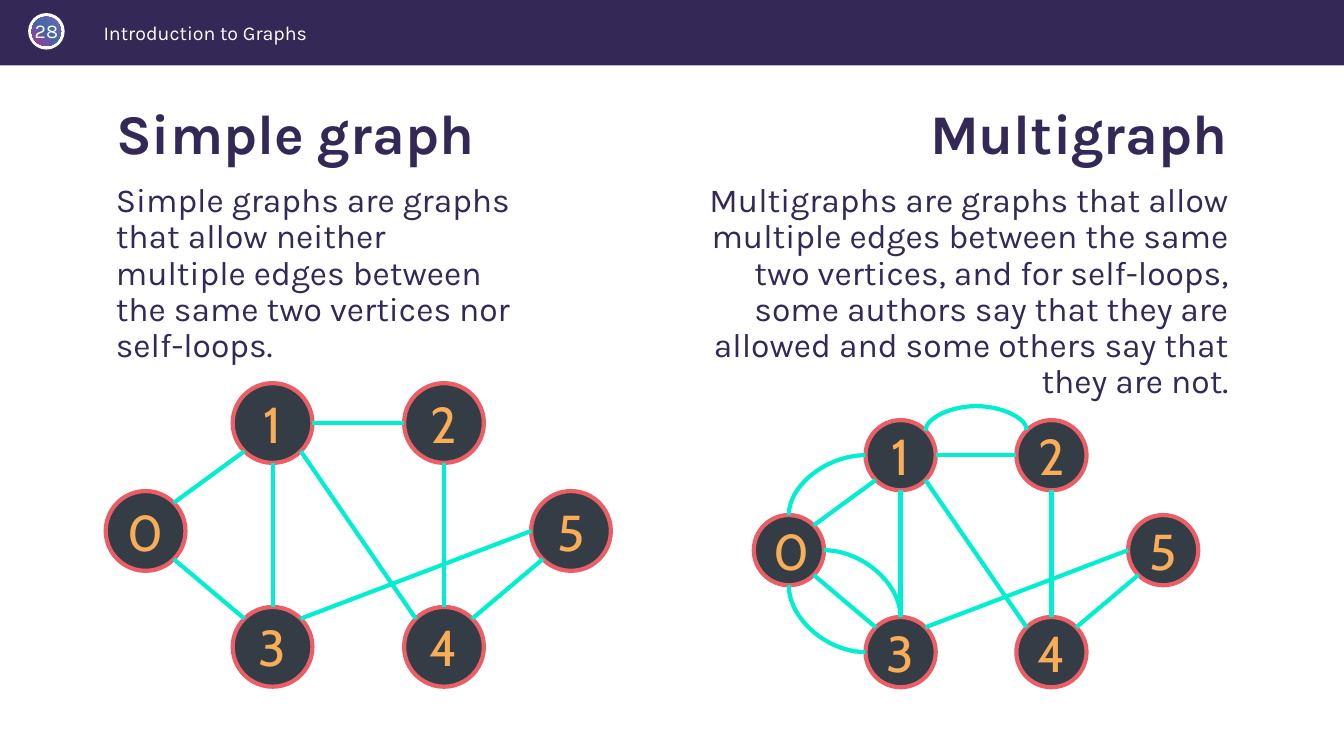
from dataclasses import dataclass
from math import cos, pi, sin

from lxml import etree
from pptx import Presentation, util as u
from pptx.dml.color import RGBColor
from pptx.enum import shapes, text
from pptx.oxml import parse_xml
from pptx.oxml.ns import nsdecls, qn


@dataclass(frozen=True)
class Theme:
    navy: str = "342956"
    white: str = "FFFFFF"
    node: str = "343D46"
    ring: str = "EC5E66"
    digit: str = "F9AD57"
    edge: str = "00EFD1"
    badge: tuple = ((0, "7864B5"), (49, "4269A5"), (100, "B2329A"))
    text_font: str = "Karla"
    node_font: str = "Cabin"
    small: int = 14
    body: int = 24
    heading: int = 40
    label: int = 36
    stroke: int = 3


@dataclass(frozen=True)
class Box:
    left: float
    top: float
    width: float
    height: float

    def emu(self) -> list:
        return [u.Cm(v) for v in (self.left, self.top, self.width, self.height)]


@dataclass(frozen=True)
class Graph:
    x: float
    y: float
    scale: float


@dataclass(frozen=True)
class Edge:
    start: int
    start_site: int
    end: int
    end_site: int
    geometry: str = "line"


T = Theme()
LEFT, CENTER, RIGHT = text.PP_ALIGN.LEFT, text.PP_ALIGN.CENTER, text.PP_ALIGN.RIGHT
DIAMETER = 2.01
ARCH_HEIGHT = 0.62
NODES = [(0, 2.72), (3.2, 0), (7.52, 0), (3.2, 5.64), (7.52, 5.64), (10.72, 2.72)]
EDGES = [
    Edge(1, 3, 0, 7), Edge(3, 0, 1, 4), Edge(0, 5, 3, 1), Edge(1, 6, 2, 2),
    Edge(1, 5, 4, 1), Edge(2, 4, 4, 0), Edge(4, 7, 5, 3), Edge(3, 7, 5, 2),
]
MULTI_EDGES = [
    Edge(1, 7, 2, 1, "curvedConnector3"), Edge(1, 2, 0, 0, "curvedConnector2"),
    Edge(0, 6, 3, 0, "curvedConnector2"), Edge(3, 2, 0, 4, "curvedConnector2"),
]


def rgb(value: str) -> RGBColor:
    return RGBColor.from_string(value)


def write(sp, content: str, size: int, color: str, align=LEFT, font: str = T.text_font,
          bold: bool = False, anchor=text.MSO_ANCHOR.TOP, **spacing) -> None:
    tf = sp.text_frame
    tf.word_wrap, tf.auto_size, tf.vertical_anchor = True, text.MSO_AUTO_SIZE.NONE, anchor
    p = tf.paragraphs[0]
    for name, value in {"alignment": align, **spacing}.items():
        setattr(p, name, value)
    r = p.add_run()
    r.text = content
    for name, value in {"size": u.Pt(size), "name": font, "bold": bold}.items():
        setattr(r.font, name, value)
    r.font.color.rgb = rgb(color)


def add_solid(s, kind, box: Box, fill: str, line: str = ""):
    sp = s.shapes.add_shape(kind, *box.emu())
    sp.shadow.inherit = False
    sp.fill.solid()
    sp.fill.fore_color.rgb = rgb(fill)
    if line:
        sp.line.color.rgb = rgb(line)
        sp.line.width = u.Pt(T.stroke)
    else:
        sp.line.fill.background()
    return sp


def add_header(s) -> None:
    add_solid(s, shapes.MSO_SHAPE.RECTANGLE, Box(0, 0, 33.87, 1.65), T.navy)
    add_solid(s, shapes.MSO_SHAPE.OVAL, Box(0.71, 0.33, 0.92, 0.92), T.white)
    disc = add_solid(s, shapes.MSO_SHAPE.OVAL, Box(0.8, 0.42, 0.74, 0.74), T.white)
    stops = "".join(f'<a:gs pos="{pos * 1000}"><a:srgbClr val="{color}"/></a:gs>'
                    for pos, color in T.badge)
    solid = disc._element.spPr.find(qn("a:solidFill"))
    disc._element.spPr.replace(solid, parse_xml(
        f'<a:gradFill {nsdecls("a")}><a:gsLst>{stops}</a:gsLst>'
        '<a:lin ang="8100000" scaled="0"/></a:gradFill>'))
    write(s.shapes.add_textbox(*Box(2.36, 0.41, 14.25, 0.76).emu()),
          "Introduction to Graphs", T.small, T.white)
    number = s.shapes.add_textbox(*Box(0.71, 0.48, 0.92, 0.61).emu())
    for side in ("left", "right", "top", "bottom"):
        setattr(number.text_frame, f"margin_{side}", 0)
    write(number, "28", T.small, T.white, CENTER)


def site_point(graph: Graph, node: int, site: int) -> tuple:
    x, y = NODES[node]
    angle = pi / 2 + site * pi / 4
    return (graph.x + graph.scale * (x + DIAMETER / 2 * cos(angle)),
            graph.y + graph.scale * (y - DIAMETER / 2 * sin(angle)))


def add_edge(s, graph: Graph, edge: Edge, nodes: list) -> None:
    start = site_point(graph, edge.start, edge.start_site)
    end = site_point(graph, edge.end, edge.end_site)
    kind = shapes.MSO_CONNECTOR
    cx = s.shapes.add_connector(kind.STRAIGHT if edge.geometry == "line" else kind.CURVE,
                                *(u.Cm(v) for v in start + end))
    cx.line.color.rgb = rgb(T.edge)
    cx.line.width = u.Pt(T.stroke)
    spPr = cx._element.spPr
    etree.SubElement(spPr, qn("a:effectLst"))
    geom = spPr.find(qn("a:prstGeom"))
    geom.set("prst", edge.geometry)
    if edge.geometry == "curvedConnector3":
        thin, span = 0.02, end[0] - start[0]
        box = Box((start[0] + end[0] - thin) / 2, start[1] - span / 2, thin, span)
        for name, value in zip(("left", "top", "width", "height"), box.emu()):
            setattr(cx, name, value)
        cx.rotation = 90
        for flip in ("flipH", "flipV"):
            spPr.find(qn("a:xfrm")).set(flip, "1")
        etree.SubElement(geom.find(qn("a:avLst")), qn("a:gd"), name="adj1",
                         fmla=f"val {round(ARCH_HEIGHT / thin * 100000)}")
    glue = cx._element.xpath(".//p:cNvCxnSpPr")[0]
    for tag, node, site in (("a:stCxn", edge.start, edge.start_site),
                            ("a:endCxn", edge.end, edge.end_site)):
        etree.SubElement(glue, qn(tag), id=str(nodes[node].shape_id), idx=str(site))


def add_graph(s, graph: Graph, edges: list) -> None:
    size = DIAMETER * graph.scale
    nodes = []
    for label, (x, y) in enumerate(NODES):
        box = Box(graph.x + graph.scale * x - size / 2,
                  graph.y + graph.scale * y - size / 2, size, size)
        sp = add_solid(s, shapes.MSO_SHAPE.OVAL, box, T.node, T.ring)
        write(sp, str(label), T.label, T.digit, CENTER, T.node_font,
              anchor=text.MSO_ANCHOR.MIDDLE)
        nodes.append(sp)
    for edge in edges:
        add_edge(s, graph, edge, nodes)


def main() -> None:
    prs = Presentation()
    prs.slide_width, prs.slide_height = u.Cm(33.87), u.Cm(19.05)
    s = prs.slides.add_slide(prs.slide_layouts[5])
    add_header(s)

    spacing = {"line_spacing": 0.9, "space_before": u.Pt(10)}
    title = s.shapes.title
    for name, value in zip(("left", "top", "width", "height"),
                           Box(2.67, 2.54, 9.55, 1.6).emu()):
        setattr(title, name, value)
    write(title, "Simple graph", T.heading, T.navy, bold=True, **spacing)
    write(s.shapes.add_textbox(*Box(23.14, 2.54, 8.05, 1.6).emu()),
          "Multigraph", T.heading, T.navy, RIGHT, bold=True, **spacing)
    write(s.shapes.add_textbox(*Box(2.67, 4.5, 10.67, 5.89).emu()),
          "Simple graphs are graphs that allow neither multiple edges between "
          "the same two vertices nor self-loops.", T.body, T.navy, **spacing)
    write(s.shapes.add_textbox(*Box(16.94, 4.5, 14.27, 6.68).emu()),
          "Multigraphs are graphs that allow multiple edges between the same two "
          "vertices, and for self-loops, some authors say that they are allowed and "
          "some others say that they are not.", T.body, T.navy, RIGHT, **spacing)

    add_graph(s, Graph(3.67, 10.66, 1), EDGES)
    add_graph(s, Graph(19.88, 11.47, 0.88), EDGES + MULTI_EDGES)
    prs.save("out.pptx")


if __name__ == "__main__":
    main()
